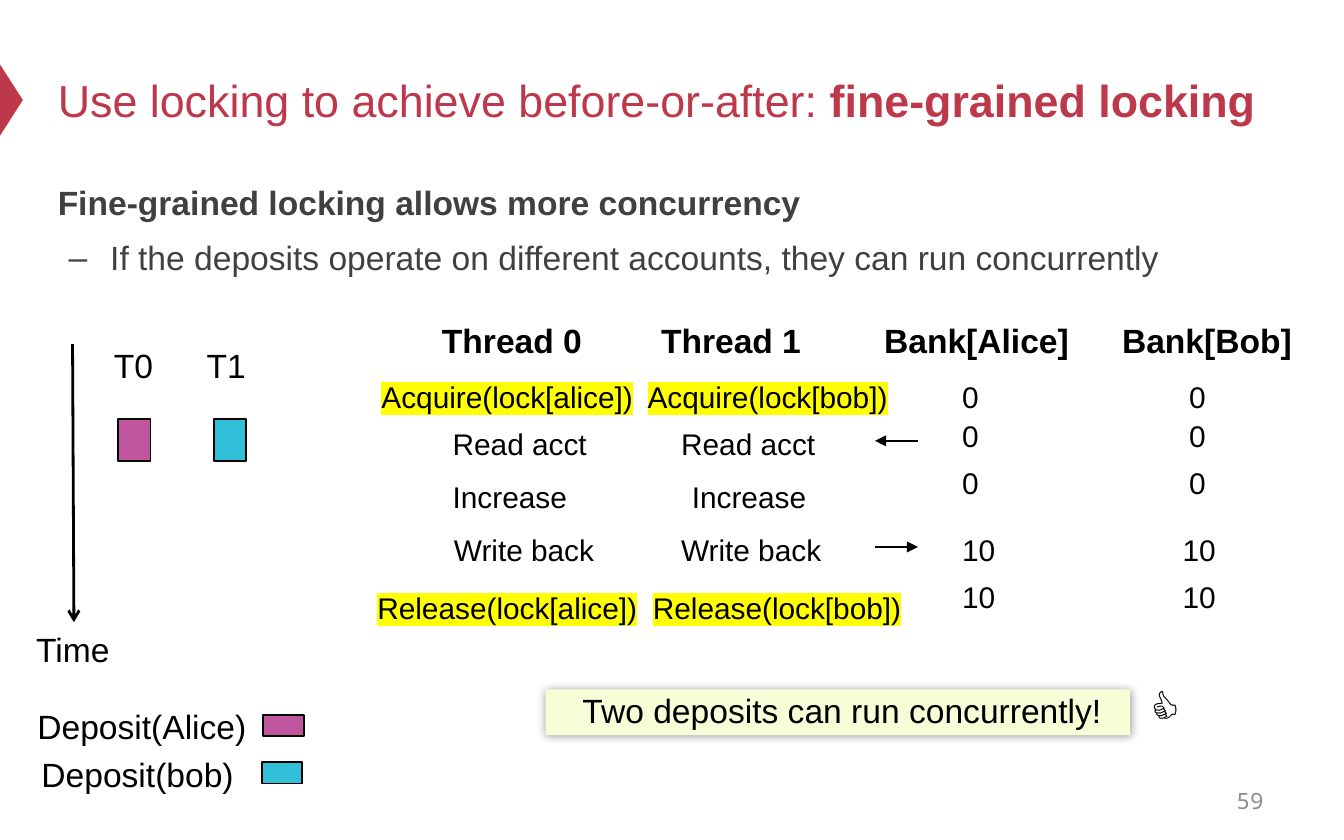
import lxml.etree
import pptx
import pptx.dml.color
import pptx.enum.shapes
import pptx.enum.text
import pptx.oxml.ns
import pptx.util

PX = 9144
COLORS = {"accent": "BE384B", "body": "404040", "ink": "000000", "number": "8C8C8C",
          "alice": "BF569D", "bob": "32C0D8", "banner": "F5FED6", "mark": "FFFF00"}
SHAPE = pptx.enum.shapes.MSO_SHAPE
ALIGN = pptx.enum.text.PP_ALIGN
ANCHOR = pptx.enum.text.MSO_ANCHOR
AUTO = pptx.enum.text.MSO_AUTO_SIZE


def rgb(name):
    """Return the named colour."""
    return pptx.dml.color.RGBColor.from_string(COLORS[name])


def emu(*lengths):
    """Turn px lengths into EMU."""
    return [length * PX for length in lengths]


def apply(target, **values):
    """Set each format value on the target."""
    for key, value in values.items():
        setattr(target, key, value)


def child(parent, tag, **attributes):
    """Append a drawing element with its attributes."""
    return lxml.etree.SubElement(parent, pptx.oxml.ns.qn(tag), attributes)


def style(font, size, color="ink", bold=False, name="Arial"):
    """Format one font."""
    apply(font, size=pptx.util.Pt(size), bold=bold, name=name)
    font.color.rgb = rgb(color)


def place(holder, box):
    """Move a placeholder to its box."""
    apply(holder, **dict(zip(("left", "top", "width", "height"), emu(*box))))
    apply(holder.text_frame, word_wrap=True, auto_size=AUTO.NONE)


def label(slide, words, box, size=18, wrap=False, marked=False, align=ALIGN.LEFT, **look):
    """Write one line of text in a box."""
    frame = slide.shapes.add_textbox(*emu(*box)).text_frame
    frame.word_wrap = wrap
    line = frame.paragraphs[0]
    line.alignment = align
    run = line.add_run()
    run.text = words
    style(run.font, size, **look)
    if marked:
        properties = run.font._element
        highlight = child(properties, "a:highlight")
        child(highlight, "a:srgbClr", val=COLORS["mark"])
        properties.find(pptx.oxml.ns.qn("a:latin")).addprevious(highlight)
    return frame


def block(slide, box, color, outlined=True, kind=SHAPE.RECTANGLE):
    """Draw a filled shape."""
    shape = slide.shapes.add_shape(kind, *emu(*box))
    shape.shadow.inherit = False
    shape.fill.solid()
    shape.fill.fore_color.rgb = rgb(color)
    if outlined:
        shape.line.color.rgb = rgb("ink")
        shape.line.width = pptx.util.Pt(1)
    else:
        shape.line.fill.background()
    return shape


def arrow(slide, start, end, width, tip):
    """Draw an arrow that points at its end."""
    line = slide.shapes.add_connector(
        pptx.enum.shapes.MSO_CONNECTOR.STRAIGHT, *emu(*start, *end))
    line.line.color.rgb = rgb("ink")
    line.line.width = pptx.util.Pt(width)
    child(line.line._ln, "a:tailEnd", type=tip)
    child(line._element.spPr, "a:effectLst")


def heading(slide, box):
    """Fill the title and its side marker."""
    x, y, width, height = box
    marker = block(slide, (x - 51, y + 41, 53, 17), "accent", False, SHAPE.ISOSCELES_TRIANGLE)
    marker.rotation = 90
    title = slide.shapes.title
    place(title, box)
    title.text_frame.vertical_anchor = ANCHOR.MIDDLE
    line = title.text_frame.paragraphs[0]
    line.alignment = ALIGN.LEFT
    for words, bold in (("Use locking to achieve before-or-after: ", False),
                        ("fine-grained locking", True)):
        run = line.add_run()
        run.text = words
        style(run.font, 24, "accent", bold)


def claim(slide, box):
    """Fill the body list."""
    body = slide.placeholders[1]
    place(body, box)
    point = body.text_frame.paragraphs[0]
    detail = body.text_frame.add_paragraph()
    point.text = "Fine-grained locking allows more concurrency"
    detail.text = "If the deposits operate on different accounts, they can run concurrently"
    detail.level = 1
    for line, margin, indent, before, dash in ((point, 0, 0, 0, None), (detail, 39, -31, 4, "–")):
        properties = line._p.get_or_add_pPr()
        properties.set("marL", str(margin * PX))
        properties.set("indent", str(indent * PX))
        if dash:
            child(properties, "a:buChar", char=dash)
        else:
            child(properties, "a:buNone")
        apply(line, line_spacing=1.2, space_before=pptx.util.Pt(before))
        style(line.runs[0].font, 18, "body", line is point)


def timeline(slide, box):
    """Draw the time axis, both threads and the colour key."""
    x, y, width, height = box
    arrow(slide, (x + 37, y + 4), (x + 38, y + 211), 1.5, "arrow")
    label(slide, "Time", (x, y + 211, 75, 40))
    threads = (("T0", 58, 71, "alice"), ("T1", 127, 142, "bob"))
    for name, name_x, bar_x, color in threads:
        label(slide, name, (x + name_x, y, 50, 40))
        block(slide, (x + bar_x, y + 60, 24, 31), color)
    deposits = (("Deposit(Alice)", 1, 177, 179, "alice"), ("Deposit(bob)", 4, 165, 178, "bob"))
    for row, (name, name_x, name_width, key_x, color) in enumerate(deposits):
        label(slide, name, (x + name_x, y + 268 + 36 * row, name_width, 40))
        block(slide, (x + key_x, y + 280 + 35 * row, 30, 16), color)


def schedule(slide, box):
    """Lay out the thread steps beside the balances."""
    x, y, width, height = box
    threads = (
        (("Thread 0", 48, 125),
         (("Acquire(lock[alice])", 3, 210), ("Read acct", 56, 121), ("Increase", 56, 106),
          ("Write back", 57, 126), ("Release(lock[alice])", 0, 216))),
        (("Thread 1", 211, 125),
         (("Acquire(lock[bob])", 201, 201), ("Read acct", 226, 121), ("Increase", 234, 106),
          ("Write back", 226, 126), ("Release(lock[bob])", 205, 207))))
    balances = ((("Bank[Alice]", 377, 159), 435, 435), (("Bank[Bob]", 554, 148), 604, 599))
    for name, left, name_width in [column[0] for column in threads + balances]:
        label(slide, name, (x + left, y, name_width, 40), bold=True)
    for _, steps in threads:
        for (step, left, step_width), top in zip(steps, (44, 79, 118, 158, 201)):
            label(slide, step, (x + left, y + top, step_width, 37), 16, marked="lock" in step)
    for _, before_x, after_x in balances:
        for amount, top in zip(("0", "0", "0", "10", "10"), (44, 73, 108, 158, 193)):
            left, amount_width = (before_x, 24) if amount == "0" else (after_x, 49)
            label(slide, amount, (x + left, y + top, amount_width, 37), 16, wrap=True)
    arrow(slide, (x + 412, y + 95), (x + 380, y + 95), 1.2, "triangle")
    arrow(slide, (x + 380, y + 174), (x + 412, y + 174), 1.2, "triangle")


def conclusion(slide, box):
    """Draw the closing banner and its thumb."""
    x, y, width, height = box
    banner = block(slide, box, "banner", False)
    effects = banner._element.spPr.find(pptx.oxml.ns.qn("a:effectLst"))
    shadow = child(effects, "a:outerShdw", blurRad=str(pptx.util.Pt(5)), dist="0",
                   algn="ctr", rotWithShape="0")
    child(child(shadow, "a:srgbClr", val=COLORS["ink"]), "a:alpha", val="40000")
    left, top, right, bottom = emu(14, 0, 8, 4)
    apply(banner.text_frame, margin_left=left, margin_top=top, margin_right=right,
          margin_bottom=bottom, word_wrap=True, vertical_anchor=ANCHOR.TOP)
    line = banner.text_frame.paragraphs[0]
    line.text = "Two deposits can run concurrently!"
    line.alignment = ALIGN.CENTER
    style(line.runs[0].font, 18)
    label(slide, "👍", (x + width + 5, y - 12, 49, 50), 24, wrap=True)


def main():
    """Build and save the slide."""
    deck = pptx.Presentation()
    deck.slide_width, deck.slide_height = emu(1000, 625)
    slide = deck.slides.add_slide(deck.slide_layouts[1])
    heading(slide, (33, 25, 967, 98))
    claim(slide, (33, 124, 900, 89))
    timeline(slide, (17, 252, 209, 344))
    schedule(slide, (271, 233, 702, 238))
    conclusion(slide, (406, 513, 435, 34))
    number = label(slide, "59", (717, 579, 233, 33), 12, wrap=True, align=ALIGN.RIGHT,
                   color="number", name="Noto Sans Mono")
    number.vertical_anchor = ANCHOR.MIDDLE
    deck.save("out.pptx")


if __name__ == "__main__":
    main()
